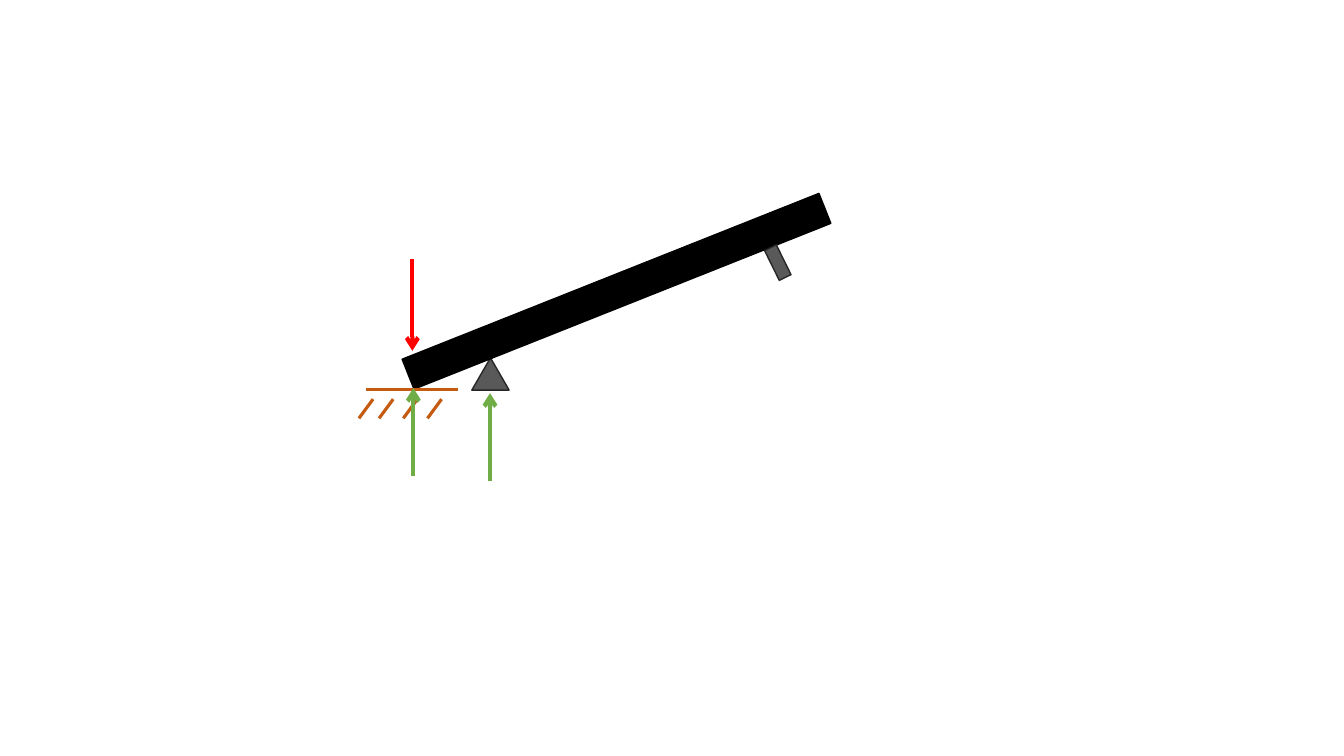
from lxml import etree
from pptx import Presentation
from pptx.dml.color import RGBColor
from pptx.enum.shapes import MSO_CONNECTOR, MSO_SHAPE
from pptx.oxml.ns import qn
from pptx.util import Inches, Pt

STRAIGHT = MSO_CONNECTOR.STRAIGHT
RECTANGLE = MSO_SHAPE.RECTANGLE
TRIANGLE = MSO_SHAPE.ISOSCELES_TRIANGLE

COLORS = {
    "beam": "000000",
    "support": "595959",
    "support_edge": "262626",
    "load": "FF0000",
    "reaction": "70AD47",
    "ground": "C55A11",
}


def add_body(shapes, kind, left, top, width, height, fill, edge, rotation=0):
    """Add a filled solid part of the lever."""
    body = shapes.add_shape(kind, Inches(left), Inches(top), Inches(width), Inches(height))
    body.shadow.inherit = False
    body.rotation = rotation
    body.fill.solid()
    body.fill.fore_color.rgb = RGBColor.from_string(COLORS[fill])
    body.line.color.rgb = RGBColor.from_string(COLORS[edge])
    body.line.width = Pt(1)


def add_line(shapes, start, end, color, width=2.25, arrow=False):
    """Add a straight line, with an arrowhead at its end if asked."""
    line = shapes.add_connector(STRAIGHT, *map(Inches, (*start, *end)))
    line.line.color.rgb = RGBColor.from_string(COLORS[color])
    line.line.width = Pt(width)
    if arrow:
        etree.SubElement(line.line._get_or_add_ln(), qn("a:tailEnd"), type="arrow")
    etree.SubElement(line._element.spPr, qn("a:effectLst"))


def add_force(shapes, x, start_y, end_y, color):
    """Add a vertical force arrow."""
    add_line(shapes, (x, start_y), (x, end_y), color, width=3, arrow=True)


def add_ground(shapes):
    """Add the ground line with its slanted hatching."""
    add_line(shapes, (3.63, 3.86), (4.54, 3.86), "ground")
    for x in (3.56, 3.76, 4.0, 4.24):
        add_line(shapes, (x, 4.15), (x + 0.14, 3.96), "ground")


def main():
    prs = Presentation()
    prs.slide_width, prs.slide_height = Inches(13.33), Inches(7.5)
    blank_layout = prs.slide_layouts[6]
    shapes = prs.slides.add_slide(blank_layout).shapes

    # Pivot, load and pivot reaction
    add_body(shapes, TRIANGLE, 4.68, 3.55, 0.37, 0.32, "support", "support_edge")
    add_force(shapes, 4.09, 2.57, 3.48, "load")
    add_force(shapes, 4.86, 4.77, 3.9, "reaction")

    # Tilted beam with its peg
    lever = shapes.add_group_shape().shapes
    add_body(lever, RECTANGLE, 3.89, 2.73, 4.45, 0.32, "beam", "beam", rotation=338.3)
    add_body(lever, RECTANGLE, 7.65, 2.44, 0.13, 0.33, "support", "support_edge", rotation=333.8)

    # Ground and its reaction
    add_ground(shapes)
    add_force(shapes, 4.1, 4.72, 3.85, "reaction")

    prs.save("out.pptx")


if __name__ == "__main__":
    main()
